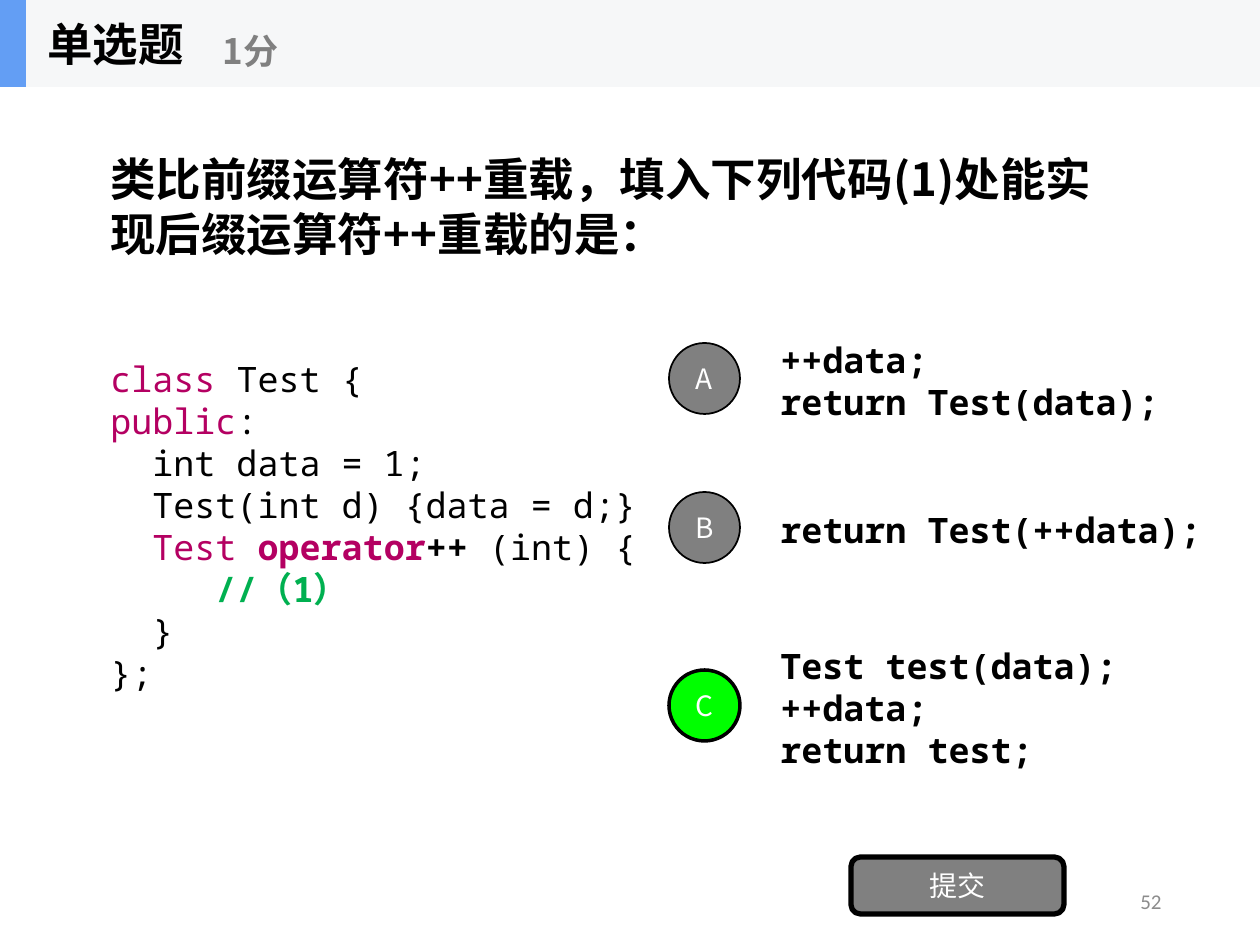
from lxml.etree import SubElement
from pptx import Presentation
from pptx.dml.color import RGBColor
from pptx.enum.shapes import MSO_SHAPE
from pptx.enum.text import MSO_ANCHOR, PP_ALIGN
from pptx.oxml.ns import qn
from pptx.util import Emu, Pt

EMU_PER_PX = 914400 / 126
SANS, MONO = "Noto Sans CJK SC", "Noto Sans Mono"
BLACK, WHITE, GRAY = "000000", "FFFFFF", "808080"
KEYWORD, COMMENT, CORRECT = "B40062", "00B050", "00FF00"
CHAR_W = 21  # width of one code character

# Each code line: indent in characters, then runs of (text, colour, bold)
CODE = [
    (0, [("class", KEYWORD, False), (" Test {", BLACK, False)]),
    (0, [("public", KEYWORD, False), (":", BLACK, False)]),
    (2, [("int data = 1;", BLACK, False)]),
    (2, [("Test(int d) {data = d;}", BLACK, False)]),
    (2, [("Test ", KEYWORD, False), ("operator", KEYWORD, True),
         ("++ ", BLACK, True), ("(int) {", BLACK, False)]),
    (5, [("//（1）", COMMENT, True)]),
    (2, [("}", BLACK, False)]),
    (0, [("};", BLACK, False)]),
]

# Each option: letter, centre y, fill, outline width, answer lines
OPTIONS = [
    ("A", 378, GRAY, 1, ["++data;", "return Test(data);"]),
    ("B", 527, GRAY, 1, ["return Test(++data);"]),
    ("C", 705, CORRECT, 2, ["Test test(data);", "++data;", "return test;"]),
]


def px(n):
    return Emu(round(n * EMU_PER_PX))


def rgb(color):
    return RGBColor.from_string(color)


def set_font(font, size, color, name=SANS, bold=False):
    font.size, font.bold, font.name = Pt(size), bold, name
    font.color.rgb = rgb(color)
    SubElement(font._rPr, qn("a:ea"), typeface=name)


def add_text(s, box, lines, size, color=BLACK, name=SANS, bold=False,
             align=PP_ALIGN.LEFT, anchor=MSO_ANCHOR.MIDDLE, spacing=None):
    tf = s.shapes.add_textbox(*map(px, box)).text_frame
    tf.word_wrap = True
    tf.vertical_anchor = anchor
    for i, line in enumerate(lines):
        p = tf.paragraphs[0] if i == 0 else tf.add_paragraph()
        p.text, p.alignment = line, align
        if spacing:
            p.line_spacing = Pt(spacing)
        set_font(p.font, size, color, name, bold)


def add_code(s, box):
    tf = s.shapes.add_textbox(*map(px, box)).text_frame
    tf.word_wrap = True
    for i, (indent, runs) in enumerate(CODE):
        p = tf.paragraphs[0] if i == 0 else tf.add_paragraph()
        p.line_spacing = Pt(24)
        p._p.get_or_add_pPr().set("marL", str(px(indent * CHAR_W)))
        for text, color, bold in runs:
            r = p.add_run()
            r.text = text
            set_font(r.font, 20, color, MONO, bold)


def add_box(s, kind, box, fill, line_width=0, text=""):
    sp = s.shapes.add_shape(kind, *map(px, box))
    sp.shadow.inherit = False
    sp.fill.solid()
    sp.fill.fore_color.rgb = rgb(fill)
    if line_width:
        sp.line.color.rgb = rgb(BLACK)
        sp.line.width = Pt(line_width)
    else:
        sp.line.fill.background()
    if text:
        tf = sp.text_frame
        tf.margin_left = tf.margin_right = 0
        tf.vertical_anchor = MSO_ANCHOR.MIDDLE
        p = tf.paragraphs[0]
        p.text, p.alignment = text, PP_ALIGN.CENTER
        set_font(p.font, 16, WHITE)


def add_option(s, letter, center_y, fill, line_width, lines):
    add_text(s, (768, center_y - 41, 457, 88), lines, 20, name=MONO,
             bold=True, spacing=24)
    add_box(s, MSO_SHAPE.OVAL, (669, center_y - 35, 71, 71), fill,
            line_width, letter)


def main():
    prs = Presentation()
    prs.slide_width, prs.slide_height = px(1260), px(945)
    s = prs.slides.add_slide(prs.slide_layouts[6])

    # Header band
    add_box(s, MSO_SHAPE.RECTANGLE, (0, 0, 1260, 87), "F6F7F8")
    add_box(s, MSO_SHAPE.RECTANGLE, (0, 0, 26, 87), "639EF4")
    add_text(s, (35, 0, 170, 87), ["单选题"], 26, bold=True)
    add_text(s, (210, 15, 315, 71), ["1分"], 20, GRAY, bold=True)

    # Question and code
    add_text(s, (98, 145, 1008, 122),
             ["类比前缀运算符++重载，填入下列代码(1)处能实现后缀运算符++重载的是："],
             26, bold=True, anchor=MSO_ANCHOR.TOP, spacing=31.2)
    add_code(s, (98, 351, 560, 349))

    # Answer options
    for option in OPTIONS:
        add_option(s, *option)

    # Submit button and page number
    add_box(s, MSO_SHAPE.ROUNDED_RECTANGLE, (851, 857, 213, 57), GRAY, 3, "提交")
    add_text(s, (890, 876, 284, 50), ["52"], 12, "8C8C8C", "Calibri",
             align=PP_ALIGN.RIGHT)

    prs.save("out.pptx")


if __name__ == "__main__":
    main()
